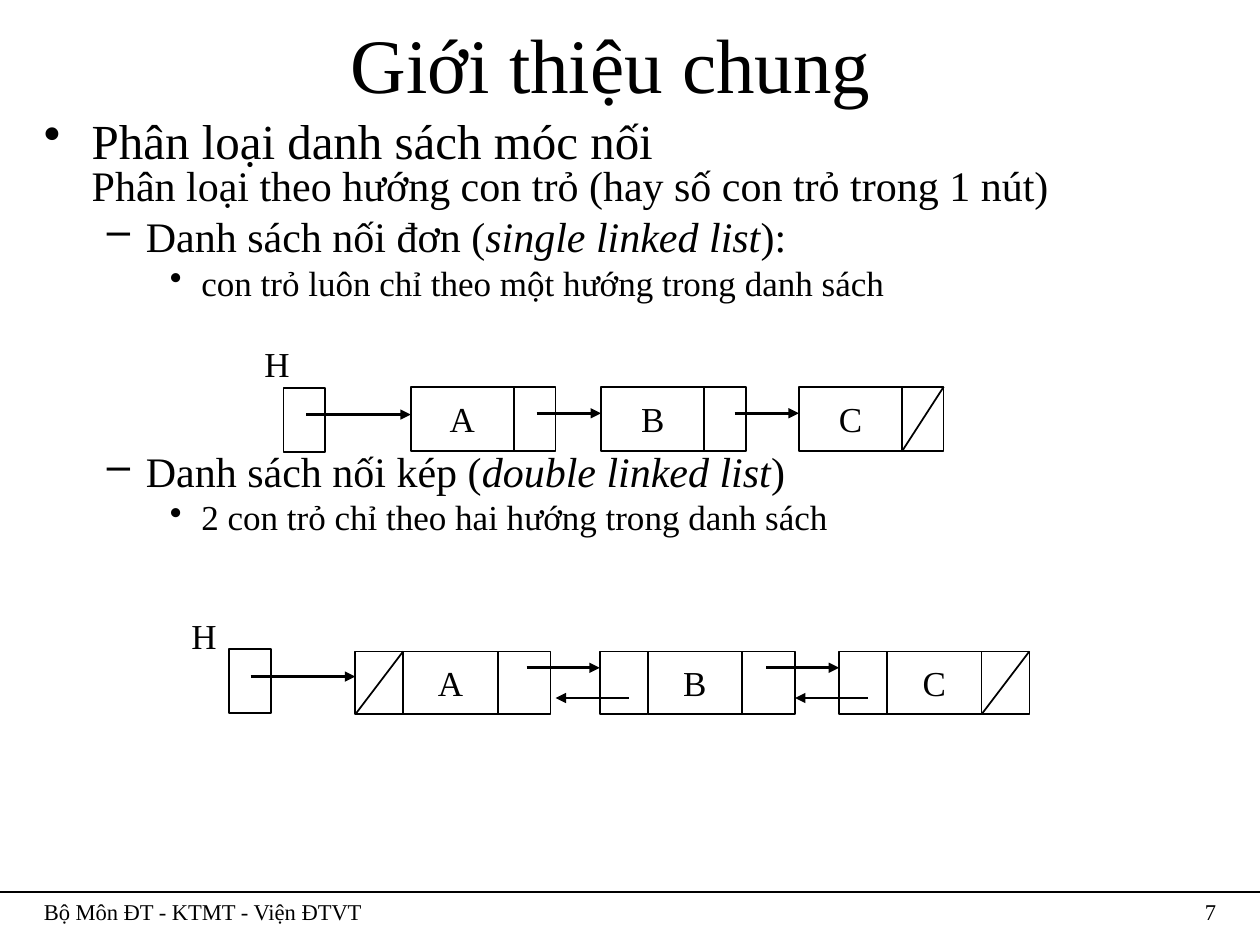
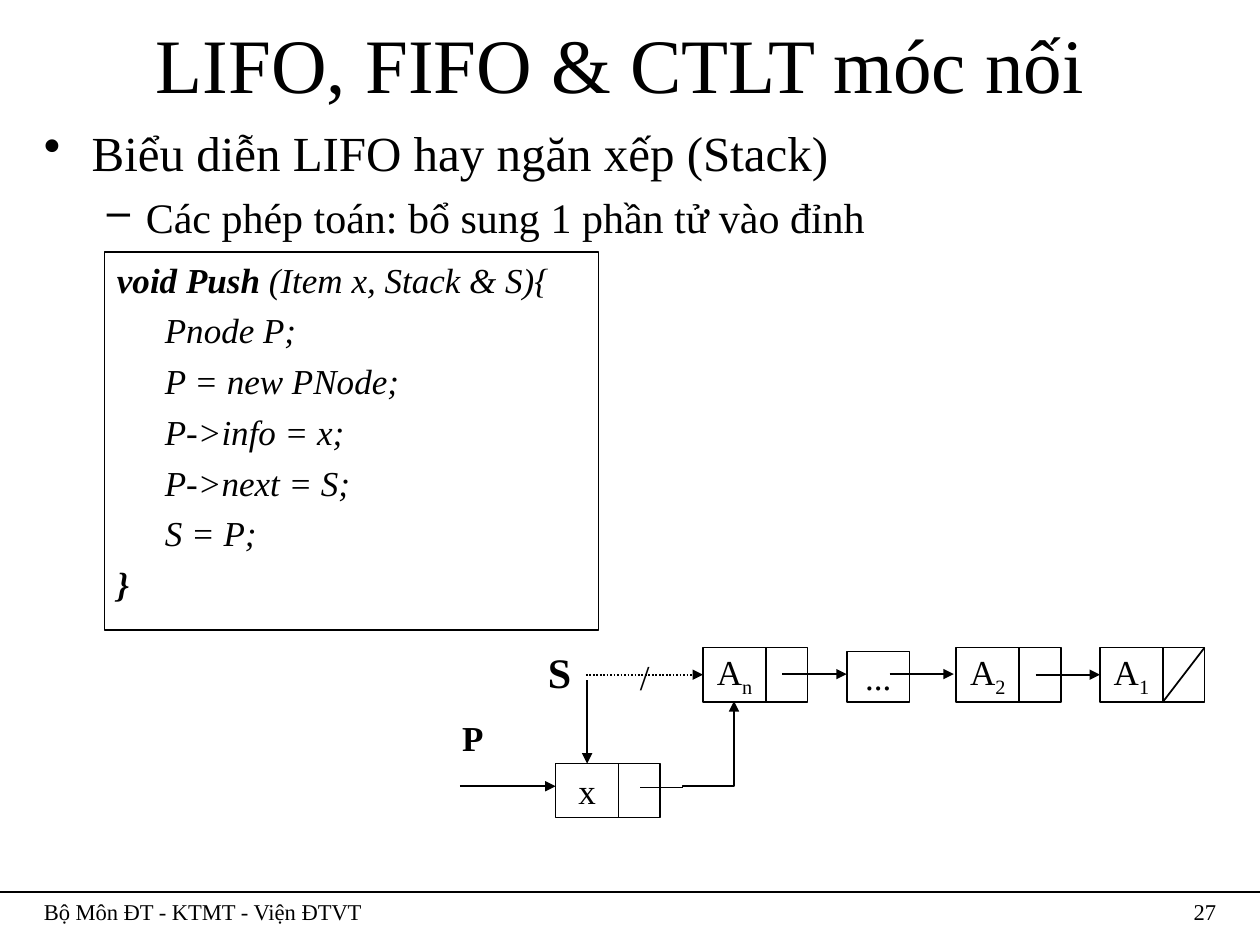
from pptx import Presentation
from pptx.dml.color import RGBColor
from pptx.enum.dml import MSO_LINE
from pptx.enum.shapes import MSO_CONNECTOR, MSO_SHAPE
from pptx.enum.text import MSO_ANCHOR, MSO_AUTO_SIZE, PP_ALIGN
from pptx.oxml.ns import qn
from pptx.util import Inches, Pt
from lxml.etree import SubElement

BLACK = RGBColor(0, 0, 0)
FONT = "Times New Roman"
LEFT, CENTER, RIGHT = PP_ALIGN.LEFT, PP_ALIGN.CENTER, PP_ALIGN.RIGHT
TOP, MIDDLE = MSO_ANCHOR.TOP, MSO_ANCHOR.MIDDLE
NO_FIT = MSO_AUTO_SIZE.NONE
STRAIGHT, ELBOW = MSO_CONNECTOR.STRAIGHT, MSO_CONNECTOR.ELBOW
RECTANGLE = MSO_SHAPE.RECTANGLE
DOTTED = MSO_LINE.ROUND_DOT
TOP_SIDE, LEFT_SIDE = 0, 1
DEPARTMENT = "Bộ Môn ĐT - KTMT - Viện ĐTVT"
LEVELS = [(0.38, -0.38, "•"), (0.81, -0.31, "–"), (1.25, -0.25, "•")]
BOLD, ITALIC = {"bold": True}, {"italic": True}
SUBSCRIPT = {"baseline": "-25000"}
LINK_WIDTH = 0.33


def add_runs(paragraph, runs, size):
    """Add (text, format) runs; a newline run becomes a line break."""
    for text, style in runs:
        if text == "\n":
            paragraph.add_line_break()
            continue
        run = paragraph.add_run()
        run.text = text
        font = run.font
        font.name, font.size = FONT, Pt(size)
        font.color.rgb = BLACK
        for attribute, value in style.items():
            if attribute == "baseline":
                run._r.get_or_add_rPr().set("baseline", value)
            else:
                setattr(font, attribute, value)


def set_paragraph(paragraph, runs, size, align=LEFT, before=0, spacing=None,
                  margin=0, indent=0, bullet=None):
    """Fill one paragraph and set its spacing, indents and bullet."""
    formats = {"alignment": align, "space_before": Pt(before), "line_spacing": spacing}
    for attribute, value in formats.items():
        setattr(paragraph, attribute, value)
    properties = paragraph._p.get_or_add_pPr()
    properties.set("marL", str(Inches(margin)))
    properties.set("indent", str(Inches(indent)))
    if bullet:
        SubElement(properties, qn("a:buChar")).set("char", bullet)
    add_runs(paragraph, runs, size)


def set_frame(frame, anchor=TOP, wrap=True):
    """Set the anchor and wrapping of a text frame."""
    formats = {"auto_size": NO_FIT, "word_wrap": wrap, "vertical_anchor": anchor}
    for attribute, value in formats.items():
        setattr(frame, attribute, value)


def next_paragraph(frame, index):
    """Return the first paragraph or a new one."""
    return frame.add_paragraph() if index else frame.paragraphs[0]


def add_label(slide, box, text, size, align=LEFT, wrap=False, style=None):
    """Add a one-line text box."""
    frame = slide.shapes.add_textbox(*map(Inches, box)).text_frame
    set_frame(frame, wrap=wrap)
    set_paragraph(frame.paragraphs[0], [(text, style or {})], size, align)


def add_outline(slide, left, top, width, height, line_width=1):
    """Add an unfilled rectangle with a black outline."""
    cell = slide.shapes.add_shape(RECTANGLE, *map(Inches, (left, top, width, height)))
    cell.shadow.inherit = False
    cell.fill.background()
    cell.line.color.rgb = BLACK
    cell.line.width = Pt(line_width)
    return cell


def add_cell(slide, left, top, width, height, *runs):
    """Add a node cell with an optional centred label."""
    cell = add_outline(slide, left, top, width, height)
    if runs:
        set_frame(cell.text_frame, MIDDLE, wrap=False)
        set_paragraph(cell.text_frame.paragraphs[0], runs, 20, CENTER)
    return cell


def add_line(slide, x1, y1, x2, y2, width=1.0, arrow=False, dash=None,
             target=None, kind=STRAIGHT):
    """Add a connector, with an arrowhead and a (shape, side) target if given."""
    connector = slide.shapes.add_connector(kind, *map(Inches, (x1, y1, x2, y2)))
    if target:
        connector.end_connect(*target)
    line = connector.line
    line.color.rgb = BLACK
    line.width = Pt(width)
    if dash:
        line.dash_style = dash
    properties = connector._element.spPr
    if arrow:
        SubElement(properties.find(qn("a:ln")), qn("a:tailEnd")).set("type", "triangle")
    SubElement(properties, qn("a:effectLst"))
    return connector


def add_null_link(slide, left, top, width, height):
    """Add a link cell crossed by a diagonal."""
    add_cell(slide, left, top, width, height)
    add_line(slide, left, top + height, left + width, top)


def add_turning_arrow(slide):
    """Add the arrow that runs right from x and turns up to the old top."""
    turn = add_line(slide, 5.96, 6.11, 5.28, 5.7, arrow=True, kind=ELBOW)
    turn.rotation = 90 if hasattr(turn, "rotation") else None
    properties = turn._element.spPr
    properties.find(qn("a:xfrm")).set("rot", "5400000")
    adjustment = SubElement(properties.find(qn("a:prstGeom")).find(qn("a:avLst")), qn("a:gd"))
    adjustment.set("name", "adj1")
    adjustment.set("fmla", "val 1000")


def add_page(deck, heading, number, trailing):
    """Add a slide with its title, footer rule, department and number."""
    slide = deck.slides.add_slide(deck.slide_layouts[5])
    title = slide.shapes.title
    bounds = {"left": 0.25, "top": 0.08, "width": 9.5, "height": 0.83}
    for attribute, value in bounds.items():
        setattr(title, attribute, Inches(value))
    set_frame(title.text_frame, MIDDLE)
    title.text_frame.margin_right = Inches(0.1 + trailing)
    set_paragraph(title.text_frame.paragraphs[0], [(heading, {})], 44, CENTER)
    add_line(slide, 0, 7.08, 10, 7.08, 0.75)
    add_label(slide, (0.25, 7.08, 8.5, 0.33), DEPARTMENT, 12.9, wrap=True)
    add_label(slide, (8.92, 7.08, 0.83, 0.33), str(number), 12.9, RIGHT, wrap=True)
    return slide


def add_outline_text(slide, height, items, spacing=None):
    """Add the bulleted body from (level, size, space before, runs) items."""
    body = slide.shapes.add_textbox(*map(Inches, (0.25, 0.92, 9.5, height)))
    set_frame(body.text_frame)
    for index, (level, size, before, runs) in enumerate(items):
        margin, indent, bullet = LEVELS[level]
        set_paragraph(next_paragraph(body.text_frame, index), runs, size, before=before,
                      spacing=spacing, margin=margin, indent=indent, bullet=bullet)


def add_code(slide, lines):
    """Add the framed listing from (inner, runs) lines."""
    frame = add_outline(slide, 0.83, 2, 3.92, 3, 0.75).text_frame
    set_frame(frame)
    for index, (inner, runs) in enumerate(lines):
        set_paragraph(next_paragraph(frame, index), runs, 20, before=5,
                      margin=0.38, indent=0 if inner else -0.38)


def add_single_list(slide):
    """Draw the singly linked list."""
    top, height, info_width, arrow_y = 3.07, 0.51, 0.82, 3.28
    add_label(slide, (2, 2.67, 0.4, 0.44), "H", 20)
    add_cell(slide, 2.25, 3.08, LINK_WIDTH, height)
    add_line(slide, 2.43, 3.29, 3.26, 3.29, 1.5, arrow=True)
    for name, left in zip("ABC", (3.26, 4.77, 6.34)):
        add_cell(slide, left, top, info_width, height, (name, {}))
        link_left = left + info_width
        if name == "C":
            add_null_link(slide, link_left, top, LINK_WIDTH, height)
        else:
            add_cell(slide, link_left, top, LINK_WIDTH, height)
        if name != "A":
            add_line(slide, left - 0.51, arrow_y, left, arrow_y, 1.5, arrow=True)


def add_double_list(slide):
    """Draw the doubly linked list."""
    top, height, back_width, info_width = 5.17, 0.5, 0.38, 0.75
    add_label(slide, (1.42, 4.83, 0.4, 0.44), "H", 20)
    add_cell(slide, 1.82, 5.15, LINK_WIDTH, 0.51)
    add_line(slide, 1.99, 5.37, 2.82, 5.37, 1.5, arrow=True)
    for name, left in zip("ABC", (2.82, 4.76, 6.66)):
        info_left = left + back_width
        next_left = info_left + info_width
        add_cell(slide, info_left, top, info_width, height, (name, {}))
        if name == "A":
            add_null_link(slide, left, top, back_width, height)
        else:
            add_cell(slide, left, top, back_width, height)
            add_line(slide, left - 0.58, 5.3, left, 5.3, 1.5, arrow=True)
            add_line(slide, left + 0.23, 5.54, left - 0.35, 5.54, 1.5, arrow=True)
        if name == "C":
            add_null_link(slide, next_left, top, back_width, height)
        else:
            add_cell(slide, next_left, top, 0.42, height)


def add_stack(slide):
    """Draw the linked stack while x is pushed on top."""
    top, width, height, arrow_y = 5.14, 0.5, 0.43, 5.35
    nodes = {}
    for index, left in (("n", 5.58), ("2", 7.59), ("1", 8.73)):
        nodes[index] = add_cell(slide, left, top, width, height,
                                ("A", {}), (index, SUBSCRIPT))
        if index == "1":
            add_null_link(slide, left + width, top, LINK_WIDTH, height)
        else:
            add_cell(slide, left + width, top, LINK_WIDTH, height)
    add_cell(slide, 6.72, 5.17, width, 0.4, ("...", {}))
    new_node = add_cell(slide, 4.41, 6.06, width, height, ("x", {}))
    add_cell(slide, 4.91, 6.06, LINK_WIDTH, height)

    for left in (6.21, 7.06):
        add_line(slide, left, arrow_y, left + 0.51, arrow_y, arrow=True)
    add_line(slide, 8.22, 5.355, 8.73, 5.355, arrow=True, target=(nodes["1"], LEFT_SIDE))
    add_line(slide, 4.65, 5.355, 5.58, 5.355, arrow=True, dash=DOTTED,
             target=(nodes["n"], LEFT_SIDE))
    add_line(slide, 4.66, 5.4, 4.66, 6.06, arrow=True, target=(new_node, TOP_SIDE))
    add_line(slide, 3.65, 6.24, 4.41, 6.24, arrow=True)
    add_line(slide, 5.42, 6.25, 5.08, 6.25, 0.75)
    add_turning_arrow(slide)

    add_label(slide, (4.25, 5.08, 0.38, 0.5), "S", 24, style=BOLD)
    add_label(slide, (4.98, 5.15, 0.27, 0.44), "/", 20)
    add_label(slide, (3.57, 5.64, 0.37, 0.44), "P", 20, style=BOLD)


def main():
    """Build both slides and save the deck."""
    deck = Presentation()
    deck.slide_width, deck.slide_height = Inches(10), Inches(7.5)

    kinds = add_page(deck, "Giới thiệu chung", 7, 0.3)
    add_outline_text(kinds, 3.75, [
        (0, 28, 6, [("Phân loại danh sách móc nối", {}), ("\n", {}),
                    ("Phân loại theo hướng con trỏ (hay số con trỏ trong 1 nút)",
                     {"size": Pt(24)})]),
        (1, 24, 6, [("Danh sách nối đơn (", {}), ("single linked list", ITALIC), ("):", {})]),
        (2, 20, 5, [("con trỏ luôn chỉ theo một hướng trong danh sách", {})]),
        (1, 24, 87, [("Danh sách nối kép (", {}), ("double linked list", ITALIC), (")", {})]),
        (2, 20, 5, [("2 con trỏ chỉ theo hai hướng trong danh sách", {})]),
    ], spacing=0.8)
    add_single_list(kinds)
    add_double_list(kinds)

    push = add_page(deck, "LIFO, FIFO & CTLT móc nối", 27, 0.15)
    add_outline_text(push, 1.08, [
        (0, 28, 7, [("Biểu diễn LIFO hay ngăn xếp (Stack)", {})]),
        (1, 24, 6, [("Các phép toán: bổ sung 1 phần tử vào đỉnh", {})]),
    ])
    statements = ["Pnode P;", "P = new PNode;", "P->info = x;", "P->next = S;", "S = P;"]
    strong = BOLD | ITALIC
    add_code(push, [
        (False, [("void Push", strong), (" (Item x, Stack & S){", ITALIC)]),
        *[(True, [(statement, ITALIC)]) for statement in statements],
        (False, [("}", strong)]),
    ])
    add_stack(push)
    deck.save("out.pptx")


if __name__ == "__main__":
    main()
